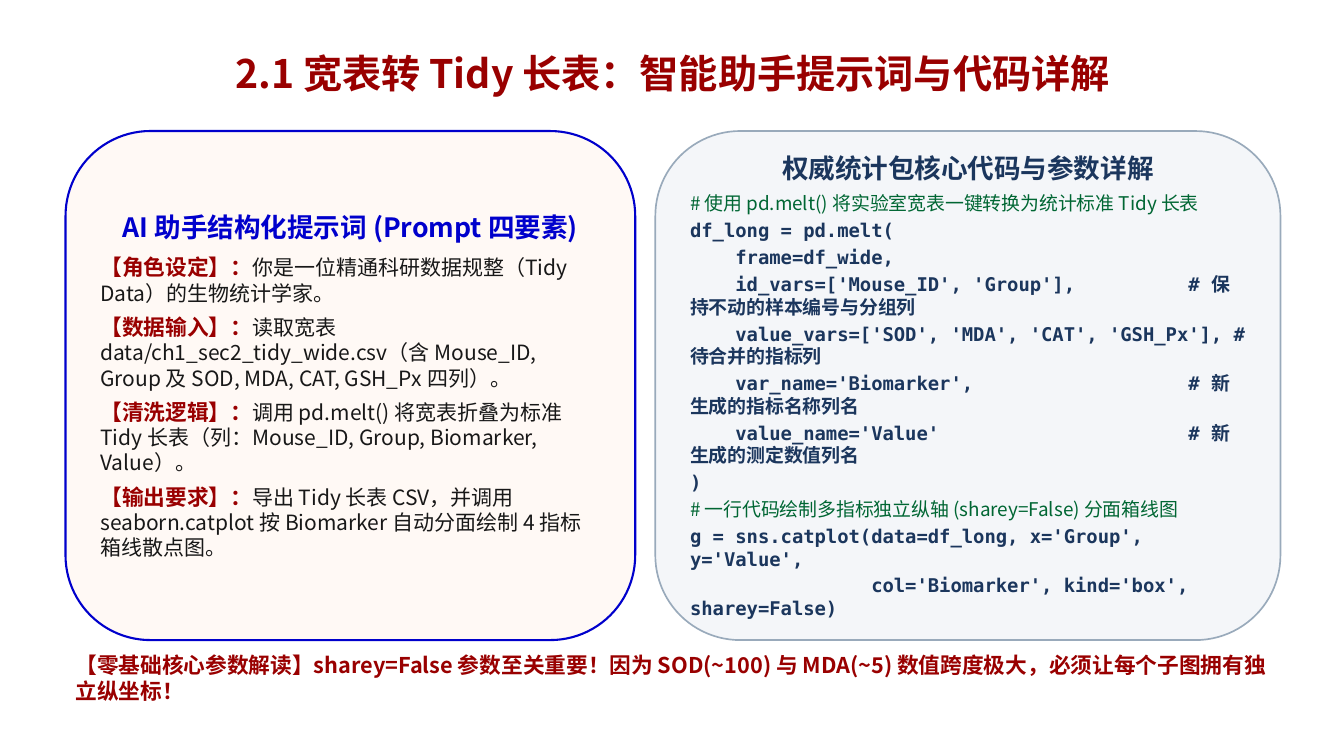
from pptx import Presentation
from pptx.dml.color import RGBColor
from pptx.enum.shapes import MSO_SHAPE
from pptx.enum.text import MSO_ANCHOR, MSO_AUTO_SIZE, PP_ALIGN
from pptx.util import Inches, Pt

SANS, MONO = "Noto Sans CJK SC", "DejaVu Sans Mono"
RED, BLUE, NAVY, GREEN, INK = "990000", "0000CC", "1B365D", "006633", "181818"

TITLE = "2.1 宽表转 Tidy 长表：智能助手提示词与代码详解"
PROMPT = "AI 助手结构化提示词 (Prompt 四要素)"
PARTS = [
    ("【角色设定】：", "你是一位精通科研数据规整（Tidy Data）的生物统计学家。"),
    ("【数据输入】：", "读取宽表 data/ch1_sec2_tidy_wide.csv（含 Mouse_ID, Group 及 SOD, MDA, CAT, GSH_Px 四列）。"),
    ("【清洗逻辑】：", "调用 pd.melt() 将宽表折叠为标准 Tidy 长表（列：Mouse_ID, Group, Biomarker, Value）。"),
    ("【输出要求】：", "导出 Tidy 长表 CSV，并调用 seaborn.catplot 按 Biomarker 自动分面绘制 4 指标箱线散点图。"),
]
HEAD = "权威统计包核心代码与参数详解"
CODE = [
    "# 使用 pd.melt() 将实验室宽表一键转换为统计标准 Tidy 长表",
    "df_long = pd.melt(",
    "    frame=df_wide,",
    "    id_vars=['Mouse_ID', 'Group'],          # 保持不动的样本编号与分组列",
    "    value_vars=['SOD', 'MDA', 'CAT', 'GSH_Px'], # 待合并的指标列",
    "    var_name='Biomarker',                   # 新生成的指标名称列名",
    "    value_name='Value'                      # 新生成的测定数值列名",
    ")",
    "# 一行代码绘制多指标独立纵轴 (sharey=False) 分面箱线图",
    "g = sns.catplot(data=df_long, x='Group', y='Value',",
    "                col='Biomarker', kind='box', sharey=False)",
]
NOTE = "【零基础核心参数解读】sharey=False 参数至关重要！因为 SOD(~100) 与 MDA(~5) 数值跨度极大，必须让每个子图拥有独立纵坐标！"

LEFT, TOP, TALL, GAP = 0.65, 1.3, 5.05, 0.2
WIDE = (5.65, 6.2)


def color(text):
    return RGBColor.from_string(text)


def style(font, size, tint, bold=True, name=SANS):
    font.size, font.bold, font.name = Pt(size), bold, name
    font.color.rgb = color(tint)


def panel(left, width, fill, edge, weight):
    card = slide.shapes.add_shape(MSO_SHAPE.ROUNDED_RECTANGLE, Inches(left),
                                  Inches(TOP), Inches(width), Inches(TALL))
    card.shadow.inherit = False
    card.fill.solid()
    card.fill.fore_color.rgb = color(fill)
    card.line.color.rgb = color(edge)
    card.line.width = Pt(weight)
    frame = card.text_frame
    frame.word_wrap = True
    frame.vertical_anchor = MSO_ANCHOR.MIDDLE
    return frame


def header(frame, text, tint, after):
    para = frame.paragraphs[0]
    para.text = text
    para.alignment = PP_ALIGN.CENTER
    para.space_after = Pt(after)
    style(para.font, 19, tint)


def add_line(frame, after):
    para = frame.add_paragraph()
    para.alignment = PP_ALIGN.LEFT
    para.space_after = Pt(after)
    return para


deck = Presentation()
deck.slide_width, deck.slide_height = Inches(13.33), Inches(7.5)
slide = deck.slides.add_slide(deck.slide_layouts[5])

title = slide.shapes.title
title.left, title.top = Inches(0.92), Inches(0.33)
title.width, title.height = Inches(11.5), Inches(0.84)
title.text_frame.text = TITLE
title.text_frame.auto_size = MSO_AUTO_SIZE.NONE
title.text_frame.vertical_anchor = MSO_ANCHOR.MIDDLE
para = title.text_frame.paragraphs[0]
para.alignment = PP_ALIGN.CENTER
para.line_spacing = 0.9
style(para.font, 28, RED)

frame = panel(LEFT, WIDE[0], "FFF9F5", BLUE, 1.5)
header(frame, PROMPT, BLUE, 8)
for label, body in PARTS:
    para = add_line(frame, 6)
    for text, size, tint, bold in ((label, 15.5, RED, True), (body, 15, INK, False)):
        run = para.add_run()
        run.text = text
        style(run.font, size, tint, bold)

frame = panel(LEFT + WIDE[0] + GAP, WIDE[1], "F4F6F9", "99AABB", 1.2)
header(frame, HEAD, NAVY, 6)
for text in CODE:
    para = add_line(frame, 3)
    para.text = text
    if text.startswith("#"):
        style(para.font, 13.5, GREEN, False)
    else:
        style(para.font, 13.5, NAVY, True, MONO)

note = slide.shapes.add_textbox(Inches(LEFT), Inches(6.42),
                                Inches(sum(WIDE) + GAP), Inches(0.65))
frame = note.text_frame
frame.word_wrap = True
frame.auto_size = MSO_AUTO_SIZE.SHAPE_TO_FIT_TEXT
frame.text = NOTE
style(frame.paragraphs[0].font, 15.5, RED)

deck.save("out.pptx")
